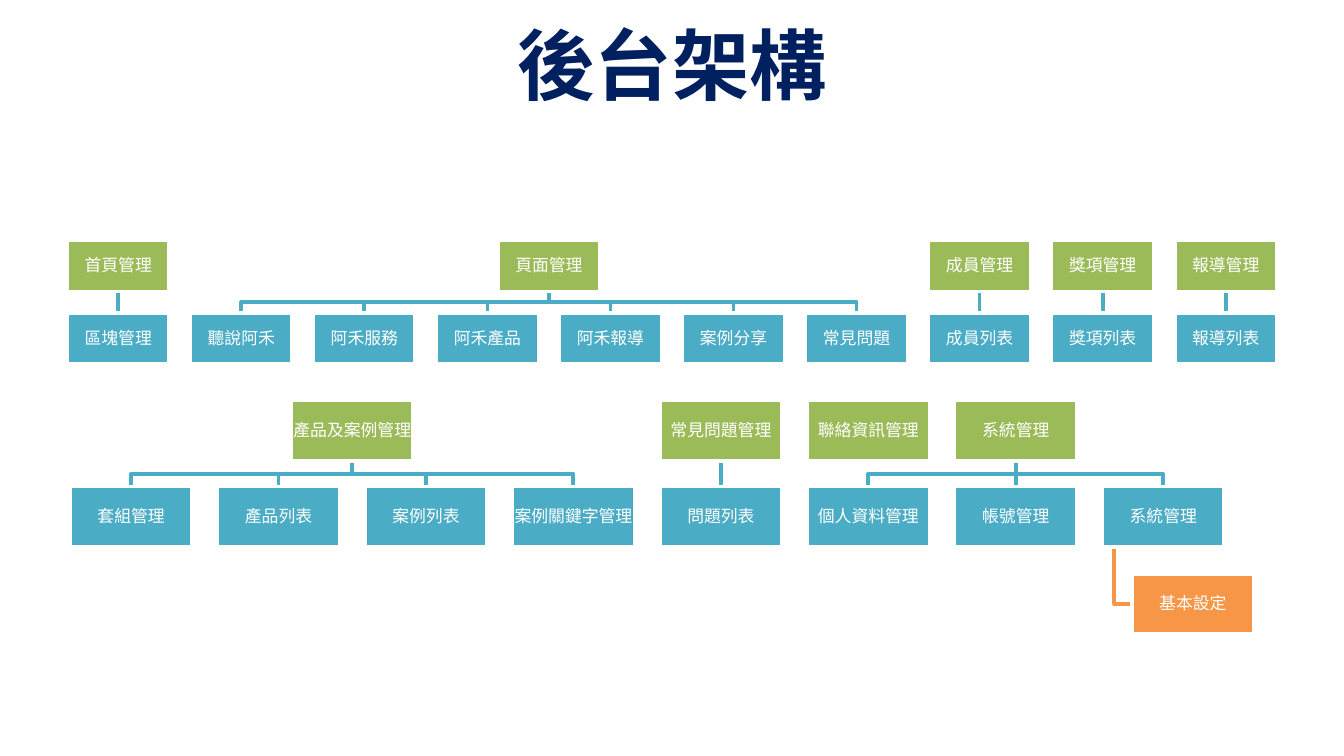
from dataclasses import dataclass

from lxml import etree
from pptx import Presentation
from pptx.dml.color import RGBColor
from pptx.enum import shapes, text
from pptx.oxml import ns
from pptx.util import Inches, Pt

NAVY = RGBColor(0x00, 0x20, 0x60)
GREEN = RGBColor(0x9B, 0xBB, 0x59)
TEAL = RGBColor(0x4B, 0xAC, 0xC6)
ORANGE = RGBColor(0xF7, 0x96, 0x46)
WHITE = RGBColor(0xFF, 0xFF, 0xFF)
FONT = "Noto Sans CJK SC"


@dataclass
class Branch:
    """A heading over the leaves that start in column first."""
    label: str
    first: int
    leaves: tuple[str, ...] = ()

    @property
    def column(self) -> float:
        return self.first + max(len(self.leaves) - 1, 0) / 2


@dataclass
class Tree:
    """A grid of equal boxes; lengths are in inches."""
    left: float
    last_left: float
    columns: int
    width: float
    height: float
    head_top: float
    leaf_top: float
    branches: tuple[Branch, ...]

    def x(self, column: float) -> float:
        return self.left + column * (self.last_left - self.left) / (self.columns - 1)


PAGES = Tree(0.5, 8.74, 10, 0.76, 0.38, 1.79, 2.33, (
    Branch("首頁管理", 0, ("區塊管理",)),
    Branch("頁面管理", 1, ("聽說阿禾", "阿禾服務", "阿禾產品",
                       "阿禾報導", "案例分享", "常見問題")),
    Branch("成員管理", 7, ("成員列表",)),
    Branch("獎項管理", 8, ("獎項列表",)),
    Branch("報導管理", 9, ("報導列表",)),
))
SYSTEM = Tree(0.52, 8.2, 8, 0.91, 0.45, 2.98, 3.62, (
    Branch("產品及案例管理", 0, ("套組管理", "產品列表", "案例列表", "案例關鍵字管理")),
    Branch("常見問題管理", 4, ("問題列表",)),
    Branch("聯絡資訊管理", 5),
    Branch("系統管理", 5, ("個人資料管理", "帳號管理", "系統管理")),
))


def add_run(p, label: str, size: float, color: RGBColor, bold: bool = False) -> None:
    p.alignment = text.PP_ALIGN.CENTER
    r = p.add_run()
    r.text = label
    r.font.name = FONT
    r.font.size = Pt(size)
    r.font.bold = bold
    r.font.color.rgb = color
    # East Asian glyphs take their own typeface entry
    etree.SubElement(r.font._element, ns.qn("a:ea"), typeface=FONT)


def add_box(s, tree: Tree, x: float, y: float, label: str, fill: RGBColor):
    sp = s.shapes.add_shape(shapes.MSO_SHAPE.RECTANGLE, Inches(x), Inches(y),
                            Inches(tree.width), Inches(tree.height))
    sp.shadow.inherit = False
    sp.fill.solid()
    sp.fill.fore_color.rgb = fill
    sp.line.color.rgb = WHITE
    sp.line.width = Pt(2)
    tf = sp.text_frame
    tf.word_wrap = True
    tf.vertical_anchor = text.MSO_ANCHOR.MIDDLE
    tf.margin_left = tf.margin_right = tf.margin_top = tf.margin_bottom = Inches(0.01)
    p = tf.paragraphs[0]
    p.line_spacing = 0.9
    p.space_after = Pt(3)
    add_run(p, label, 9, WHITE)
    return sp


def style_line(sp, color: RGBColor) -> None:
    """Colour a line and place it behind the boxes."""
    sp.line.color.rgb = color
    sp.line.width = Pt(2)
    sp._element.getparent().insert(2, sp._element)


def add_elbow(s, points: list[tuple[int, int]], color: RGBColor) -> None:
    builder = s.shapes.build_freeform(*points[0], scale=1.0)
    builder.add_line_segments(points[1:], close=False)
    sp = builder.convert_to_shape()
    sp.fill.background()
    sp.shadow.inherit = False
    style_line(sp, color)


def join(s, head, leaf) -> None:
    """Link a heading to a leaf, straight when one is right below the other."""
    x1, y1 = head.left + head.width // 2, head.top + head.height
    x2, y2 = leaf.left + leaf.width // 2, leaf.top
    if abs(x1 - x2) < Inches(0.01):
        line = s.shapes.add_connector(shapes.MSO_CONNECTOR.STRAIGHT, x1, y1, x2, y2)
        line.begin_connect(head, 2)
        line.end_connect(leaf, 0)
        etree.SubElement(line._element.spPr, ns.qn("a:effectLst"))
        style_line(line, TEAL)
    else:
        middle = (y1 + y2) // 2
        add_elbow(s, [(x1, y1), (x1, middle), (x2, middle), (x2, y2)], TEAL)


def draw_tree(s, tree: Tree):
    """Draw every branch and return the last box."""
    box = None
    for branch in tree.branches:
        head = box = add_box(s, tree, tree.x(branch.column), tree.head_top,
                             branch.label, GREEN)
        for column, label in enumerate(branch.leaves, branch.first):
            box = add_box(s, tree, tree.x(column), tree.leaf_top, label, TEAL)
            join(s, head, box)
    return box


def main() -> None:
    prs = Presentation()
    # Widescreen, 16 to 9
    prs.slide_width, prs.slide_height = Inches(10), Inches(10 * 9 / 16)
    s = prs.slides.add_slide(prs.slide_layouts[5])

    # Title
    title = s.shapes.title
    title.left, title.top = Inches(0.5), Inches(0.12)
    title.width, title.height = Inches(9), Inches(0.71)
    tf = title.text_frame
    tf.auto_size = text.MSO_AUTO_SIZE.NONE
    tf.vertical_anchor = text.MSO_ANCHOR.MIDDLE
    add_run(tf.paragraphs[0], "後台架構", 41.4, NAVY, bold=True)

    # The two rows of branches
    draw_tree(s, PAGES)
    parent = draw_tree(s, SYSTEM)

    # Third level, hung from the last leaf
    child = add_box(s, SYSTEM, 8.42, 4.27, "基本設定", ORANGE)
    x, y = parent.left + parent.width // 10, child.top + child.height // 2
    add_elbow(s, [(x, parent.top + parent.height), (x, y), (child.left, y)], ORANGE)

    prs.save("out.pptx")


if __name__ == "__main__":
    main()
